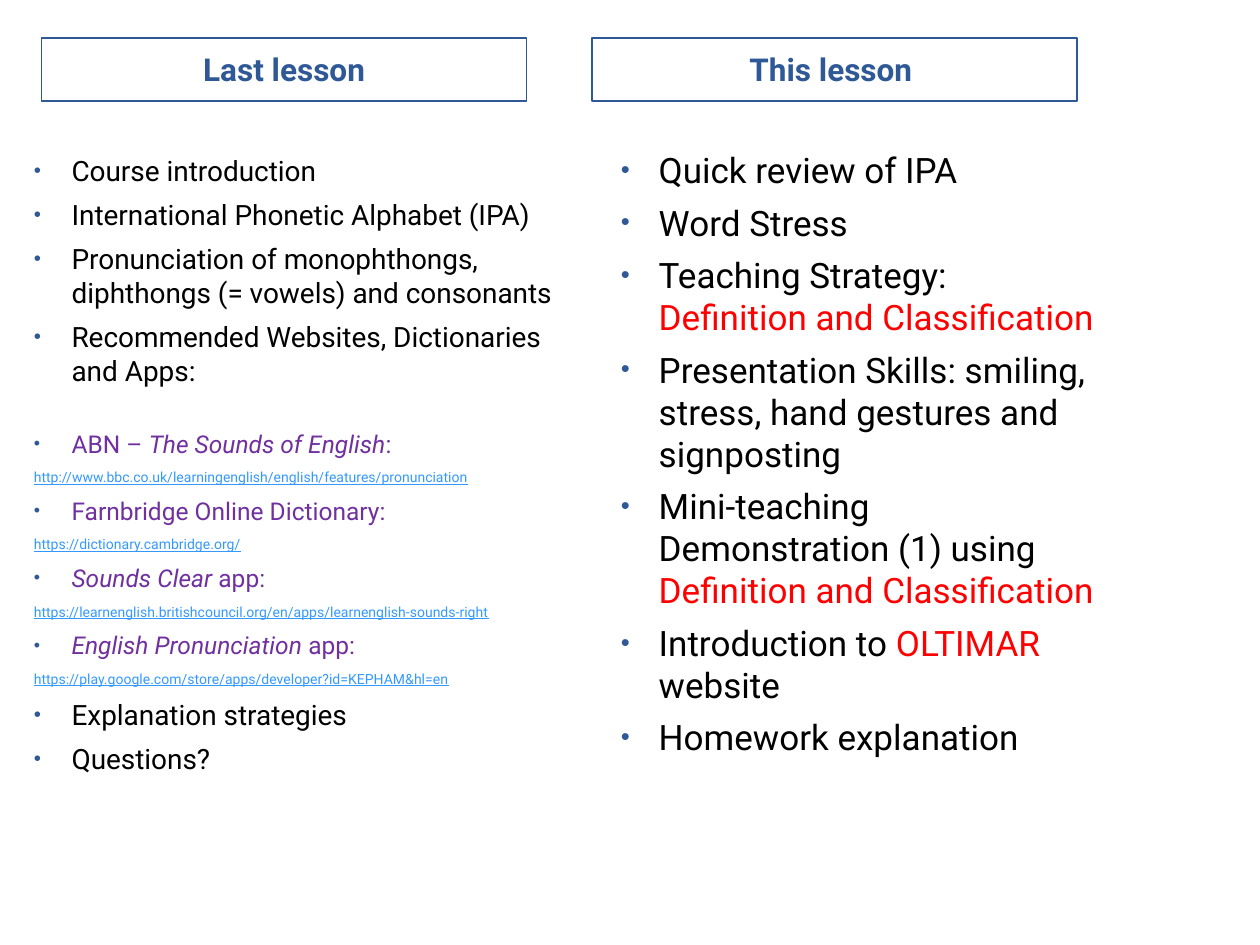
from lxml import etree
from pptx import Presentation
from pptx.dml.color import RGBColor
from pptx.enum import shapes, text
from pptx.oxml.ns import qn
from pptx.util import Inches, Pt

FONT = "Roboto"
HEX = {"blue": "2F5897", "black": "000000", "purple": "7030A0",
       "link": "3399FF", "red": "FF0000"}

# Run styles
ITEM = dict(size=16)
TOOL = dict(size=14, color="purple")
TITLE = dict(TOOL, italic=True)
LINK = dict(size=8, color="link", underline=True)
GOAL = dict(size=20)
KEY = dict(GOAL, color="red")

HEADS = [("Last lesson", 0.33), ("This lesson ", 4.7)]

# Each paragraph is a list of (text, style) runs
LAST = [
    [("Course introduction", ITEM)],
    [("International Phonetic Alphabet (IPA)", ITEM)],
    [("Pronunciation of monophthongs, diphthongs (= vowels) and consonants", ITEM)],
    [("Recommended Websites, Dictionaries and Apps:", ITEM)],
    [("ABN – ", TOOL), ("The Sounds of English", TITLE), (":", TOOL)],
    [("http://www.bbc.co.uk/learningenglish/english/features/pronunciation", LINK)],
    [("Farnbridge Online Dictionary:", TOOL)],
    [("https://dictionary.cambridge.org/", LINK)],
    [("Sounds Clear ", TITLE), ("app:", TOOL)],
    [("https://learnenglish.britishcouncil.org/en/apps/learnenglish-sounds-right", LINK)],
    [("English Pronunciation ", TITLE), ("app:", TOOL)],
    [("https://play.google.com/store/apps/developer?id=KEPHAM&hl=en", LINK)],
    [("Explanation strategies", ITEM)],
    [("Questions?", ITEM)],
]
THIS = [
    [("Quick review of IPA", GOAL)],
    [("Word Stress", GOAL)],
    [("Teaching Strategy: ", GOAL), ("Definition and Classification", KEY)],
    [("Presentation Skills: smiling, stress, hand gestures and signposting", GOAL)],
    [("Mini-teaching Demonstration (1) using ", GOAL),
     ("Definition and Classification", KEY)],
    [("Introduction to ", GOAL), ("OLTIMAR", KEY), (" website", GOAL)],
    [("Homework explanation", GOAL)],
]
TOOLS_AT = 4  # the list of tools starts here, after a wider gap


def write(para, words, size=16, color="black", **style):
    run = para.add_run()
    run.text = words
    font = run.font
    font.name, font.size = FONT, Pt(size)
    font.color.rgb = RGBColor.from_string(HEX[color])
    for name, value in style.items():
        setattr(font, name, value)


def bullet(para):
    props = para._p.get_or_add_pPr()
    props.set("marL", str(Inches(0.3)))
    props.set("indent", str(-Inches(0.3)))
    tint = etree.SubElement(props, qn("a:buClr"))
    etree.SubElement(tint, qn("a:srgbClr"), val=HEX["blue"])
    etree.SubElement(props, qn("a:buSzPct"), val="73000")
    etree.SubElement(props, qn("a:buFont"), typeface="Arial")
    etree.SubElement(props, qn("a:buChar"), char="•")


def add_head(slide, words, left):
    box = slide.shapes.add_shape(shapes.MSO_SHAPE.RECTANGLE, Inches(left),
                                 Inches(0.3), Inches(3.85), Inches(0.5))
    box.shadow.inherit = False
    box.fill.background()
    box.line.color.rgb = RGBColor.from_string(HEX["blue"])
    box.line.width = Pt(1)
    frame = box.text_frame
    frame.vertical_anchor = text.MSO_ANCHOR.MIDDLE
    para = frame.paragraphs[0]
    para.alignment = text.PP_ALIGN.CENTER
    write(para, words, size=18, color="blue", bold=True)


def add_list(slide, items, place, wide=None):
    """Add a bulleted list; item number `wide` gets a larger gap above."""
    frame = slide.shapes.add_textbox(*map(Inches, place)).text_frame
    frame.word_wrap = True
    for i, runs in enumerate(items):
        para = frame.add_paragraph() if i else frame.paragraphs[0]
        if runs[0][1] is not LINK:
            bullet(para)
        if i:
            para.space_before = Pt(24 if i == wide else 6)
        for words, style in runs:
            write(para, words, **style)


def main():
    deck = Presentation()
    deck.slide_width, deck.slide_height = Inches(10), Inches(7.5)
    slide = deck.slides.add_slide(deck.slide_layouts[6])
    for words, left in HEADS:
        add_head(slide, words, left)
    add_list(slide, LAST, (0.17, 1.17, 4.53, 6.17), wide=TOOLS_AT)
    add_list(slide, THIS, (4.83, 1.13, 4, 5.83))
    deck.save("out.pptx")


if __name__ == "__main__":
    main()
